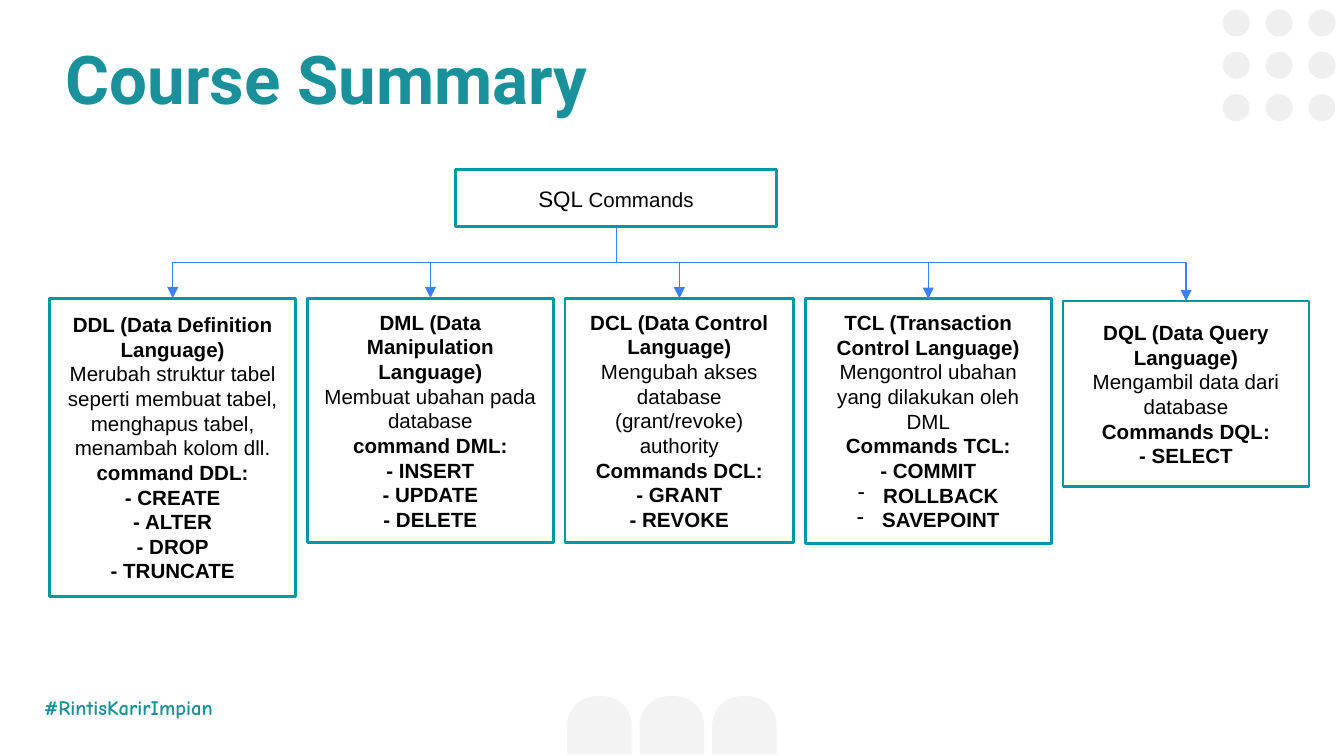
"""Build the Course Summary slide with its tree of SQL command groups."""
from lxml import etree
from pptx import Presentation
from pptx import util as u
from pptx.dml.color import RGBColor
from pptx.enum import shapes, text
from pptx.oxml import ns

TEAL = RGBColor(0x18, 0x91, 0x9B)
EDGE = RGBColor(0x00, 0x97, 0xA7)
BLUE = RGBColor(0x3C, 0x81, 0xF3)
BLACK = RGBColor(0, 0, 0)
PALE = RGBColor(0xF3, 0xF3, 0xF3)
GREY = RGBColor(0xEF, 0xEF, 0xEF)
KIND = shapes.MSO_SHAPE

deck = Presentation()
deck.slide_width, deck.slide_height = u.Cm(25.4), u.Cm(14.29)
slide = deck.slides.add_slide(deck.slide_layouts[6])


def draw(kind, box, fill=None):
    item = slide.shapes.add_shape(kind, *map(u.Cm, box))
    item.shadow.inherit = False
    if fill:
        item.fill.solid()
        item.fill.fore_color.rgb = fill
        item.line.fill.background()
    else:
        item.fill.background()
        item.line.color.rgb = EDGE
        item.line.width = u.Pt(1.5)
        item.text_frame.word_wrap = True
        item.text_frame.vertical_anchor = text.MSO_ANCHOR.MIDDLE
    return item


def write(para, words, face="Arial", size=11, bold=False, tint=BLACK):
    run = para.add_run()
    run.text = words
    for key, val in {"name": face, "size": u.Pt(size), "bold": bold}.items():
        setattr(run.font, key, val)
    run.font.color.rgb = tint


for col in range(3):
    arch = draw(KIND.ROUND_2_SAME_RECTANGLE, (10.72 + 1.37 * col, 13.16, 1.22, 1.09), PALE)
    arch.adjustments[0] = 0.5
for row in range(3):
    for col in range(3):
        draw(KIND.OVAL, (23.11 + 0.81 * col, 0.18 + 0.8 * row, 0.51, 0.51), GREY)

labels = [
    ("#RintisKarirImpian", (0.58, 12.9, 3.99, 0.99), "Comic Neue", 11),
    ("Course Summary", (0.99, 0.46, 21.89, 2.06), "Roboto", 36),
]
for words, box, face, size in labels:
    frame = slide.shapes.add_textbox(*map(u.Cm, box)).text_frame
    form = {"word_wrap": True, "auto_size": text.MSO_AUTO_SIZE.SHAPE_TO_FIT_TEXT}
    for side in ("left", "top", "right", "bottom"):
        form["margin_" + side] = u.Cm(0.25)
    for key, val in form.items():
        setattr(frame, key, val)
    write(frame.paragraphs[0], words, face, size, True, TEAL)

root = draw(KIND.RECTANGLE, (8.61, 3.2, 6.07, 1.09))
para = root.text_frame.paragraphs[0]
para.alignment = text.PP_ALIGN.CENTER
write(para, "SQL ", size=12)
write(para, "Commands")

groups = [
    (5.64, 4.65, 5.64, ["DDL (Data Definition", "Language)"],
     ["Merubah struktur tabel", "seperti membuat tabel,", "menghapus tabel,", "menambah kolom dll."],
     ["command DDL:", "- CREATE", "- ALTER", "- DROP", "- TRUNCATE"], []),
    (5.64, 4.65, 4.62, ["DML (Data Manipulation Language)"],
     ["Membuat ubahan pada", "database"],
     ["command DML:", "- INSERT", "- UPDATE", "- DELETE"], []),
    (5.64, 4.32, 4.62, ["DCL (Data Control", "Language)"],
     ["Mengubah akses", "database", "(grant/revoke) authority"],
     ["Commands DCL:", "- GRANT", "- REVOKE"], []),
    (5.65, 4.65, 4.62, ["TCL (Transaction Control Language)"],
     ["Mengontrol ubahan", "yang dilakukan oleh", "DML"],
     ["Commands TCL:", "- COMMIT"], ["ROLLBACK", "SAVEPOINT"]),
    (5.69, 4.65, 3.51, ["DQL (Data Query Language)"],
     ["Mengambil data dari", "database"],
     ["Commands DQL:", "- SELECT"], []),
]
left, gap = 0.94, 0.22
ends = []
for top, wide, high, head, body, code, dash in groups:
    frame = draw(KIND.RECTANGLE, (left, top, wide, high)).text_frame
    lines = head + body + code + dash
    for num, words in enumerate(lines):
        para = frame.paragraphs[0] if num == 0 else frame.add_paragraph()
        para.alignment = text.PP_ALIGN.CENTER
        write(para, words, bold=words not in body)
        if words in dash:
            props = para._p.get_or_add_pPr()
            props.set("marL", str(u.Cm(0.48)))
            props.set("indent", str(-u.Cm(0.48)))
            tint = etree.SubElement(props, ns.qn("a:buClr"))
            etree.SubElement(tint, ns.qn("a:srgbClr"), val=str(BLACK))
            etree.SubElement(props, ns.qn("a:buChar"), char="-")
    ends.append((left + wide / 2, top))
    left += wide + gap

stem, base, bar = 11.65, 4.29, 4.96
starts = [None, None, 10.01, 9.91, 10.01]
for (x, y), start in zip(ends, starts):
    if start is None:
        mid, half, drop = (stem + x) / 2, (stem - x) / 2, (y - base) / 2
        span = (mid - drop, bar - half, mid + drop, bar + half)
    else:
        span = (start, bar, x, y)
    wire = slide.shapes.add_connector(shapes.MSO_CONNECTOR.ELBOW, *map(u.Cm, span))
    wire.line.color.rgb = BLUE
    wire.line.width = u.Pt(0.75)
    props = wire._element.spPr
    if start is None:
        props.find(ns.qn("a:xfrm")).set("rot", "5400000")
    else:
        props.find(ns.qn("a:prstGeom")).set("prst", "bentConnector2")
    etree.SubElement(wire.line._get_or_add_ln(), ns.qn("a:tailEnd"), type="triangle")
    etree.SubElement(props, ns.qn("a:effectLst"))

deck.save("out.pptx")
